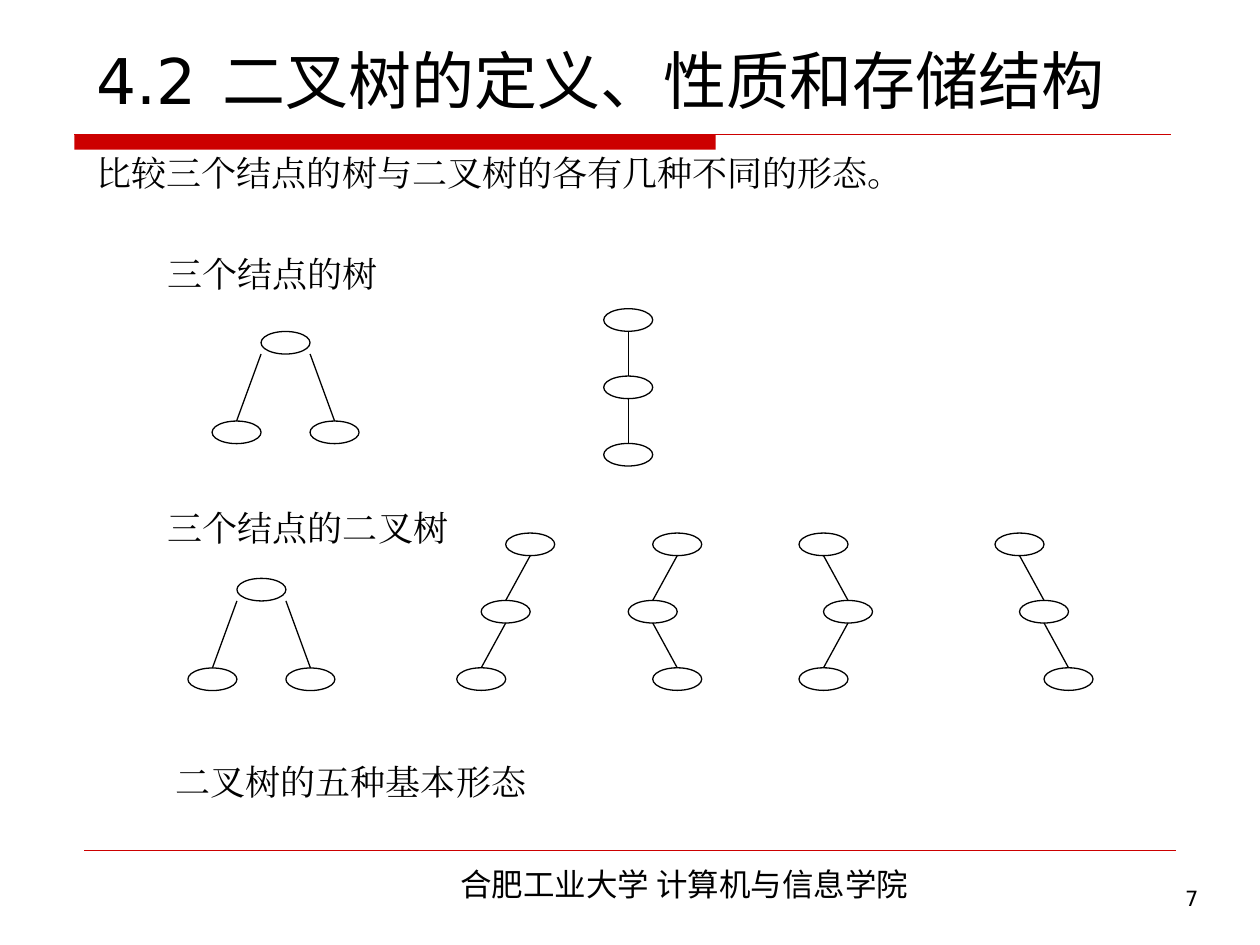
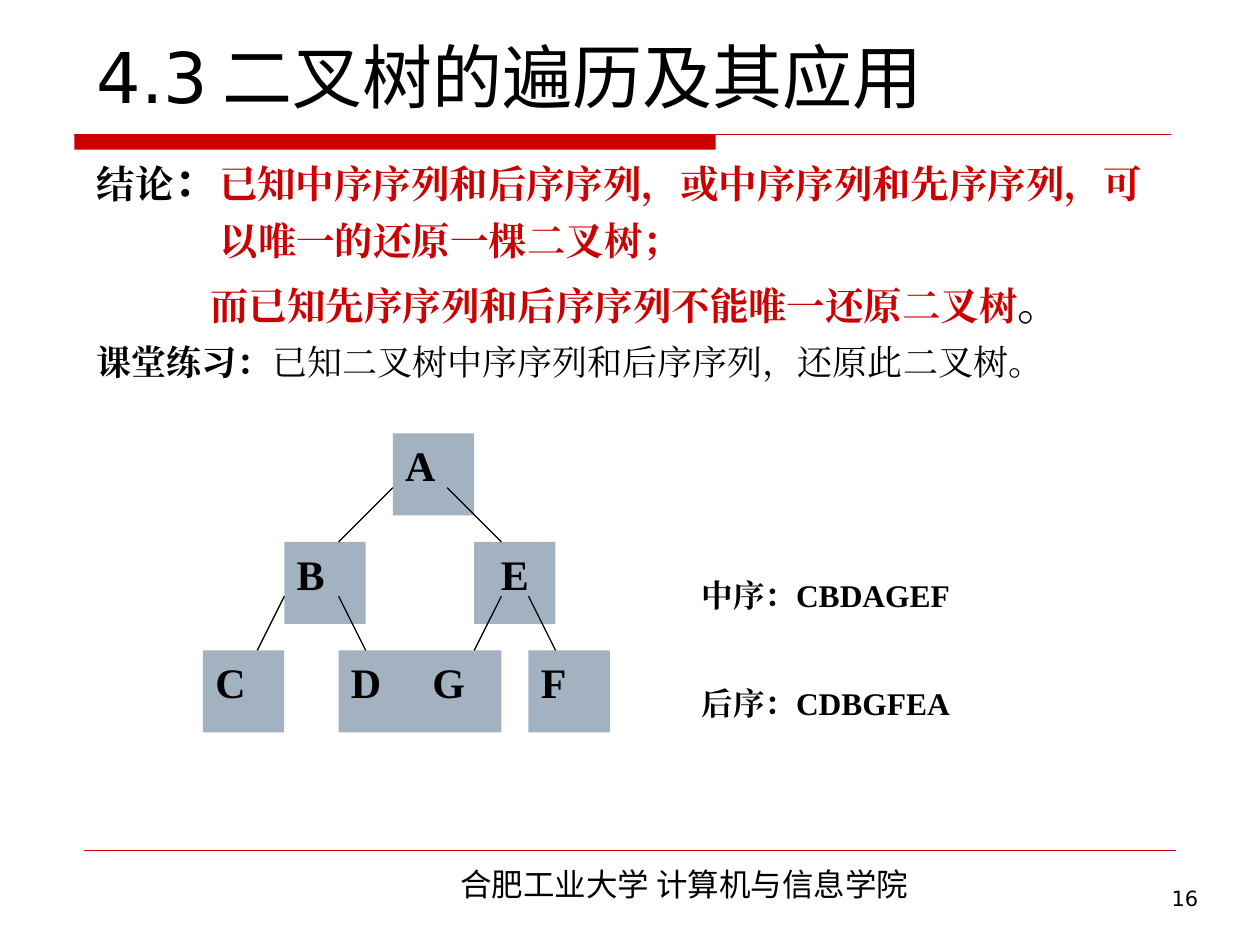
from lxml.etree import SubElement
from pptx import Presentation
from pptx.dml.color import RGBColor
from pptx.enum.shapes import MSO_CONNECTOR as Link, MSO_SHAPE as Kind
from pptx.enum.text import MSO_ANCHOR as Anchor, PP_ALIGN as Align
from pptx.oxml.ns import qn
from pptx.util import Pt

RED, BLACK, WHITE, SLATE = "CC0000", "000000", "FFFFFF", "A3B2C1"
SANS, SONG, TIMES = "DejaVu Sans", "Noto Sans CJK SC", "Times New Roman"
hue = RGBColor.from_string


def write(frame, text, size=20, font=TIMES, color=BLACK, bold=False, align=Align.LEFT,
          before=0, pitch=None, left=0, tab=None, more=False):
    """Add one run; more=True keeps it in the last paragraph."""
    para = frame.paragraphs[-1]
    if not more:
        if para.runs:
            para = frame.add_paragraph()
        para.alignment = align
        para.space_before = Pt(before)
        if pitch:
            para.line_spacing = Pt(pitch)
        props = para._p.get_or_add_pPr()
        props.set("marL", str(Pt(left)))
        props.set("indent", "0")
        if tab:
            stops = SubElement(props, qn("a:tabLst"))
            SubElement(stops, qn("a:tab"), pos=str(Pt(tab)), algn="l")
    run = para.add_run()
    run.text = text
    run.font.size = Pt(size)
    run.font.bold = bold
    run.font.color.rgb = hue(color)
    run.font.name = font
    SubElement(run._r.get_or_add_rPr(), qn("a:ea"), typeface=font)


def draw(slide, kind, place, fill, line=None):
    """Add a flat preset shape and return its text frame."""
    shape = slide.shapes.add_shape(kind, *map(Pt, place))
    shape.shadow.inherit = False
    shape.fill.solid()
    shape.fill.fore_color.rgb = hue(fill)
    if line:
        shape.line.color.rgb = hue(line)
        shape.line.width = Pt(0.75)
    else:
        shape.line.fill.background()
    frame = shape.text_frame
    frame.word_wrap = True
    frame.vertical_anchor = Anchor.TOP
    return frame


deck = Presentation()
deck.slide_width, deck.slide_height = Pt(720), Pt(540)

# Parts that both slides share
places = {
    "title": (48.2, 0, 630, 70.6),
    "body": (48.2, 82.8, 629.3, 408),
    "foot": (172.8, 491, 436.3, 28.8),
    "page": (535.7, 502.6, 156.2, 37.4),
}
heads = [("4.2\t二叉树的定义、性质和存储结构", 36, "7"),
         ("4.3\t二叉树的遍历及其应用", 40, "16")]
slides, bodies, lines = [], [], []
for head, size, page in heads:
    slide = deck.slides.add_slide(deck.slide_layouts[6])
    draw(slide, Kind.RECTANGLE, (42.5, 77, 366.5, 8.6), RED)
    lines.append((slide, (42.5, 77, 668.9, 77), RED, 0.75))
    lines.append((slide, (48.2, 486, 671.8, 486), RED, 0.25))
    frames = {}
    for name, place in places.items():
        frames[name] = slide.shapes.add_textbox(*map(Pt, place)).text_frame
        frames[name].word_wrap = True
    frames["title"].vertical_anchor = Anchor.BOTTOM
    write(frames["title"], head, size=size, font=SANS, tab=2.45 * size)
    write(frames["foot"], "合肥工业大学 计算机与信息学院", size=18, font=SONG,
          align=Align.CENTER)
    write(frames["page"], page, size=12, font=SANS, align=Align.RIGHT)
    slides.append(slide)
    bodies.append(frames["body"])

# Slide 1: shapes of trees with three nodes
slide, body = slides[0], bodies[0]
write(body, "比较三个结点的树与二叉树的各有几种不同的形态。", pitch=24)
for text, before, left in [("三个结点的树", 34, 40.6), ("三个结点的二叉树", 121, 40.6),
                           ("二叉树的五种基本形态", 121, 45.1)]:
    write(body, text, before=before, left=left, pitch=24)

WIDE, HIGH, HALF = 28, 12.9, 14
DROP, ROW = 51.2, 38.5
nodes = []
for x, y in [(149.2, 189.4), (135.4, 330.5)]:
    nodes.append((x, y))
    for side in (-1, 1):
        kid = x + side * WIDE
        nodes.append((kid, y + DROP))
        start = x + HALF + side * HALF
        lines.append((slide, (start, y + HIGH, kid + HALF, y + DROP), BLACK, 0.75))

chains = [(345, 176.4, (0, 0, 0)), (289, 304.6, (0, -1, -2)), (373, 304.6, (0, -1, 0)),
          (456.6, 304.6, (0, 1, 0)), (568.6, 304.6, (0, 1, 2))]
for x, y, shifts in chains:
    chain = [(x + HALF * shift, y + ROW * i) for i, shift in enumerate(shifts)]
    nodes += chain
    for (x1, y1), (x2, y2) in zip(chain, chain[1:]):
        lines.append((slide, (x1 + HALF, y1 + HIGH, x2 + HALF, y2), BLACK, 0.75))
for x, y in nodes:
    draw(slide, Kind.OVAL, (x, y, WIDE, HIGH), WHITE, BLACK)

# Slide 2: rebuilding a tree from two orders
slide, body = slides[1], bodies[1]
write(body, "结论", size=22, bold=True, pitch=32)
write(body, "：", size=26, bold=True, more=True)
write(body, "已知中序序列和后序序列，或中序序列和先序序列，可", size=22, color=RED,
      bold=True, more=True)
write(body, "以唯一的还原一棵二叉树；", size=22, color=RED, bold=True,
      before=5.5, pitch=26.5, left=70.3)
write(body, "而已知先序序列和后序序列不能唯一还原二叉树", size=22, color=RED, bold=True,
      before=6.5, pitch=31.5, left=65)
write(body, "。", size=26, more=True)
write(body, "课堂练习：", bold=True, before=5, pitch=25)
write(body, "已知二叉树中序序列和后序序列，还原此二叉树。", more=True)

LEFT, TOP, COL, STEP = 116, 247.7, 15.5, 62
cells = [("A", 7, 0), ("B", 3, 1), ("E", 10, 1),
         ("C", 0, 2), ("D", 5, 2), ("G", 8, 2), ("F", 12, 2)]
for name, col, row in cells:
    place = (LEFT + COL * col, TOP + STEP * row, 3 * COL, 46.8)
    write(draw(slide, Kind.RECTANGLE, place, SLATE), name, size=24, bold=True,
          align=Align.CENTER if name == "E" else Align.JUSTIFY)

edges = [(7, 5, 0), (9, 11, 0), (3, 2, 1), (5, 6, 1), (11, 10, 1), (12, 13, 1)]
for start, end, row in edges:
    y = TOP + STEP * row
    lines.append((slide, (LEFT + COL * start, y + STEP / 2, LEFT + COL * end, y + STEP),
                  BLACK, 0.75))

for i, text in enumerate(["中序：CBDAGEF", "后序：CDBGFEA"]):
    frame = draw(slide, Kind.RECTANGLE, (393.8, 325.4 + STEP * i, 170, 46.8), WHITE)
    write(frame, text, size=18, bold=True, align=Align.JUSTIFY)

# All lines of both slides
for slide, ends, color, width in lines:
    link = slide.shapes.add_connector(Link.STRAIGHT, *map(Pt, ends))
    link.line.color.rgb = hue(color)
    link.line.width = Pt(width)
    SubElement(link._element.spPr, qn("a:effectLst"))

deck.save("out.pptx")
